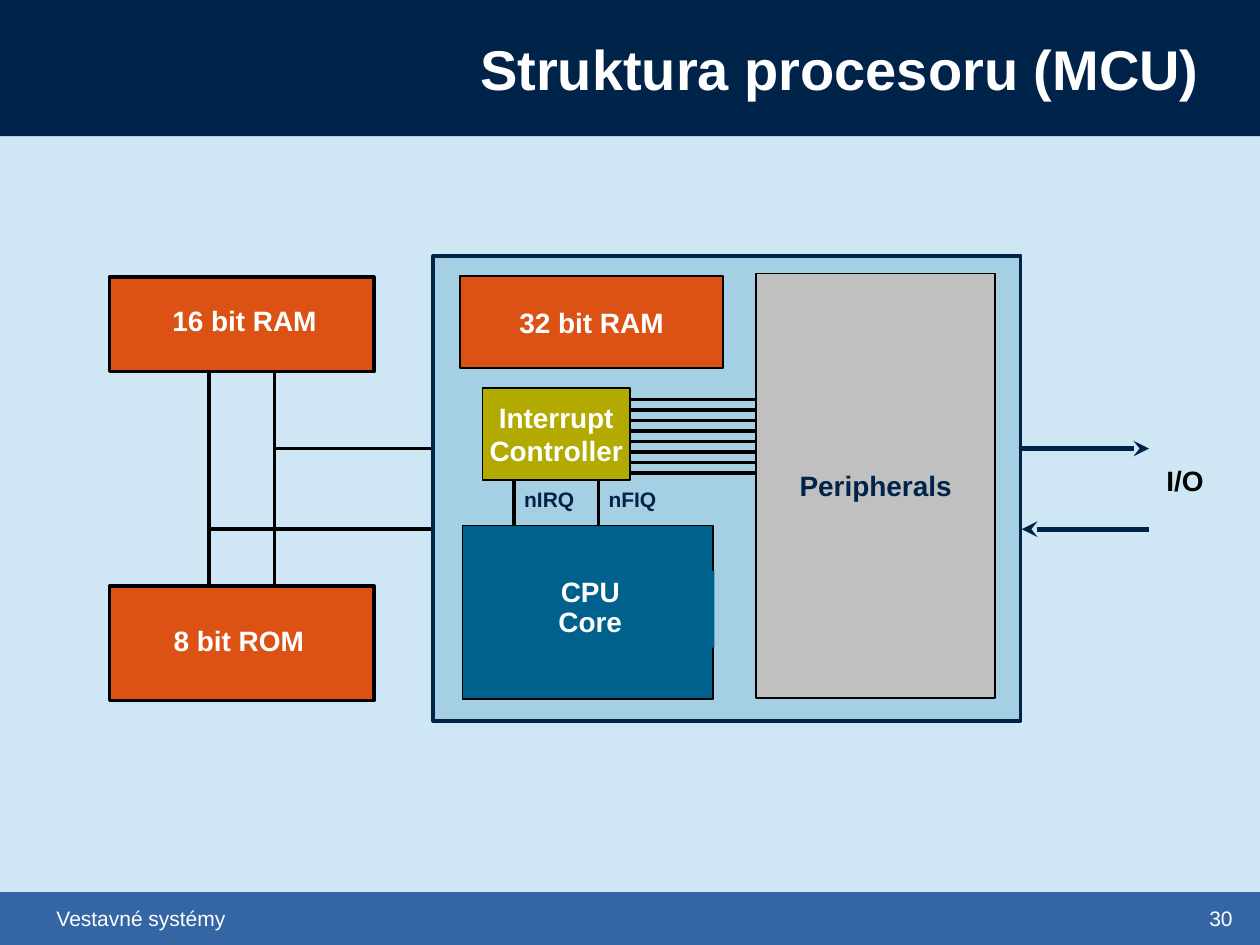
from dataclasses import dataclass
from typing import Optional

from lxml import etree
from pptx import Presentation
from pptx.dml.color import RGBColor
from pptx.enum.shapes import MSO_CONNECTOR, MSO_SHAPE
from pptx.enum.text import MSO_ANCHOR, PP_ALIGN
from pptx.oxml.ns import qn
from pptx.util import Inches, Pt

RECTANGLE = MSO_SHAPE.RECTANGLE
STRAIGHT = MSO_CONNECTOR.STRAIGHT
LEFT, CENTER, RIGHT = PP_ALIGN.LEFT, PP_ALIGN.CENTER, PP_ALIGN.RIGHT
TOP, MIDDLE = MSO_ANCHOR.TOP, MSO_ANCHOR.MIDDLE

NAVY = RGBColor(0x00, 0x23, 0x4A)
FOOTER_BLUE = RGBColor(0x34, 0x65, 0xA4)
PALE_BLUE = RGBColor(0xCF, 0xE7, 0xF5)
CHIP_BLUE = RGBColor(0xA5, 0xD0, 0xE3)
CORE_BLUE = RGBColor(0x00, 0x61, 0x8C)
ORANGE = RGBColor(0xDB, 0x52, 0x14)
OLIVE = RGBColor(0xB2, 0xAA, 0x00)
GRAY = RGBColor(0xC0, 0xC0, 0xC0)
BLACK = RGBColor(0x00, 0x00, 0x00)
WHITE = RGBColor(0xFF, 0xFF, 0xFF)

FONT = "Arial"
ADDRESS_BUS_Y, DATA_BUS_Y = 3.56, 4.2


@dataclass(frozen=True)
class Box:
    left: float
    top: float
    width: float
    height: float
    fill: RGBColor
    line: Optional[RGBColor] = None
    line_width: float = 1
    text: str = ""
    color: RGBColor = WHITE


@dataclass(frozen=True)
class Label:
    text: str
    left: float
    top: float
    width: float
    height: float
    color: RGBColor = WHITE


@dataclass(frozen=True)
class Wire:
    x1: float
    y1: float
    x2: float
    y2: float
    color: RGBColor = BLACK
    width: float = 2
    arrow: bool = False


def write_text(shape, text: str, *, size: float = 16, color: RGBColor = WHITE,
               bold: bool = True, align=CENTER, anchor=MIDDLE, wrap: bool = True,
               margins: tuple[float, float] = (0.1, 0.05),
               spacing: float = 1.0) -> None:
    """Fill a shape with text, one paragraph for each line."""
    frame = shape.text_frame
    frame.word_wrap = wrap
    frame.vertical_anchor = anchor
    frame.margin_left = frame.margin_right = Inches(margins[0])
    frame.margin_top = frame.margin_bottom = Inches(margins[1])
    frame.text = text
    for paragraph in frame.paragraphs:
        paragraph.alignment = align
        paragraph.line_spacing = spacing
        font = paragraph.font
        font.name, font.size, font.bold = FONT, Pt(size), bold
        font.color.rgb = color


def add_box(slide, box: Box):
    shape = slide.shapes.add_shape(RECTANGLE, Inches(box.left), Inches(box.top),
                                   Inches(box.width), Inches(box.height))
    shape.shadow.inherit = False
    shape.fill.solid()
    shape.fill.fore_color.rgb = box.fill
    if box.line is None:
        shape.line.fill.background()
    else:
        shape.line.color.rgb = box.line
        shape.line.width = Pt(box.line_width)
    if box.text:
        write_text(shape, box.text, color=box.color, wrap=False)
    return shape


def add_label(slide, label: Label, **text_format) -> None:
    text_box = slide.shapes.add_textbox(Inches(label.left), Inches(label.top),
                                        Inches(label.width), Inches(label.height))
    write_text(text_box, label.text, color=label.color, **text_format)


def add_wire(slide, wire: Wire) -> None:
    connector = slide.shapes.add_connector(STRAIGHT, Inches(wire.x1), Inches(wire.y1),
                                           Inches(wire.x2), Inches(wire.y2))
    connector.line.color.rgb = wire.color
    connector.line.width = Pt(wire.width)
    if wire.arrow:
        line = connector.line._get_or_add_ln()
        etree.SubElement(line, qn("a:tailEnd"), type="stealth")
    etree.SubElement(connector._element.spPr, qn("a:effectLst"))


def add_frame(slide) -> None:
    """Draw the title band and the footer band."""
    add_box(slide, Box(0, 0, 10, 1.08, NAVY))
    add_box(slide, Box(0, 7.08, 10, 0.42, FOOTER_BLUE))
    page_number = add_box(slide, Box(9.5, 7.14, 0.5, 0.3, FOOTER_BLUE))
    write_text(page_number, "30", size=12, bold=False, align=LEFT)
    footer = add_box(slide, Box(0.35, 7.14, 8.33, 0.3, FOOTER_BLUE))
    write_text(footer, "Vestavné systémy", size=12, bold=False, align=LEFT)
    add_label(slide, Label("Struktura procesoru (MCU)", 2.17, 0, 7.45, 1.08),
              size=32, align=RIGHT)


MEMORY_AND_CHIP = [
    Box(3.44, 2.03, 4.66, 3.69, CHIP_BLUE, NAVY, 2.25),
    Box(0.87, 2.2, 2.1, 0.75, ORANGE, BLACK, 2),
    Box(0.87, 4.65, 2.1, 0.91, ORANGE, BLACK, 2),
    Box(3.65, 2.19, 2.09, 0.73, ORANGE, BLACK, text="32 bit RAM"),
    Box(3.67, 4.17, 1.99, 1.38, CORE_BLUE, BLACK),
]
CORE_CAPTION = Box(3.7, 4.53, 1.97, 0.61, CORE_BLUE)
CHIP_UNITS = [
    Box(6, 2.17, 1.9, 3.37, GRAY, BLACK, text="Peripherals", color=NAVY),
    Box(3.83, 3.08, 1.17, 0.73, OLIVE, BLACK, text="Interrupt\nController"),
]
WIRES = [
    Wire(3.42, ADDRESS_BUS_Y, 2.17, ADDRESS_BUS_Y),
    Wire(2.18, 2.96, 2.18, 4.64),
    Wire(3.42, DATA_BUS_Y, 1.66, DATA_BUS_Y),
    Wire(1.66, 4.64, 1.66, 2.96),
    Wire(8.11, ADDRESS_BUS_Y, 9.12, ADDRESS_BUS_Y, NAVY, 3, True),
    Wire(9.12, DATA_BUS_Y, 8.11, DATA_BUS_Y, NAVY, 3, True),
    *(Wire(6, 3.17 + i / 12, 5, 3.17 + i / 12) for i in range(8)),
    *(Wire(x, 4.17, x, 3.75) for x in (4.08, 4.75)),
]
LABELS = [
    Label("16 bit RAM", 0.9, 2.38, 2.08, 0.37),
    Label("8 bit ROM", 0.83, 4.92, 2.13, 0.37),
    Label("I/O", 9.05, 3.65, 0.71, 0.37, BLACK),
]
SIGNALS = [
    Label("nIRQ", 4.08, 3.83, 0.58, 0.27, NAVY),
    Label("nFIQ", 4.75, 3.83, 0.58, 0.27, NAVY),
]


def main() -> None:
    presentation = Presentation()
    presentation.slide_width, presentation.slide_height = Inches(10), Inches(7.5)
    slide = presentation.slides.add_slide(presentation.slide_layouts[6])
    slide.background.fill.solid()
    slide.background.fill.fore_color.rgb = PALE_BLUE

    add_frame(slide)
    for box in MEMORY_AND_CHIP:
        add_box(slide, box)
    caption_format = {"anchor": TOP, "margins": (0.13, 0.06), "spacing": 0.9}
    write_text(add_box(slide, CORE_CAPTION), "CPU\nCore", **caption_format)
    for wire in WIRES:
        add_wire(slide, wire)
    for box in CHIP_UNITS:
        add_box(slide, box)
    for label in LABELS:
        add_label(slide, label, **caption_format)
    for signal in SIGNALS:
        add_label(slide, signal, size=12, align=LEFT, anchor=TOP, margins=(0.08, 0.03))

    presentation.save("out.pptx")


if __name__ == "__main__":
    main()
